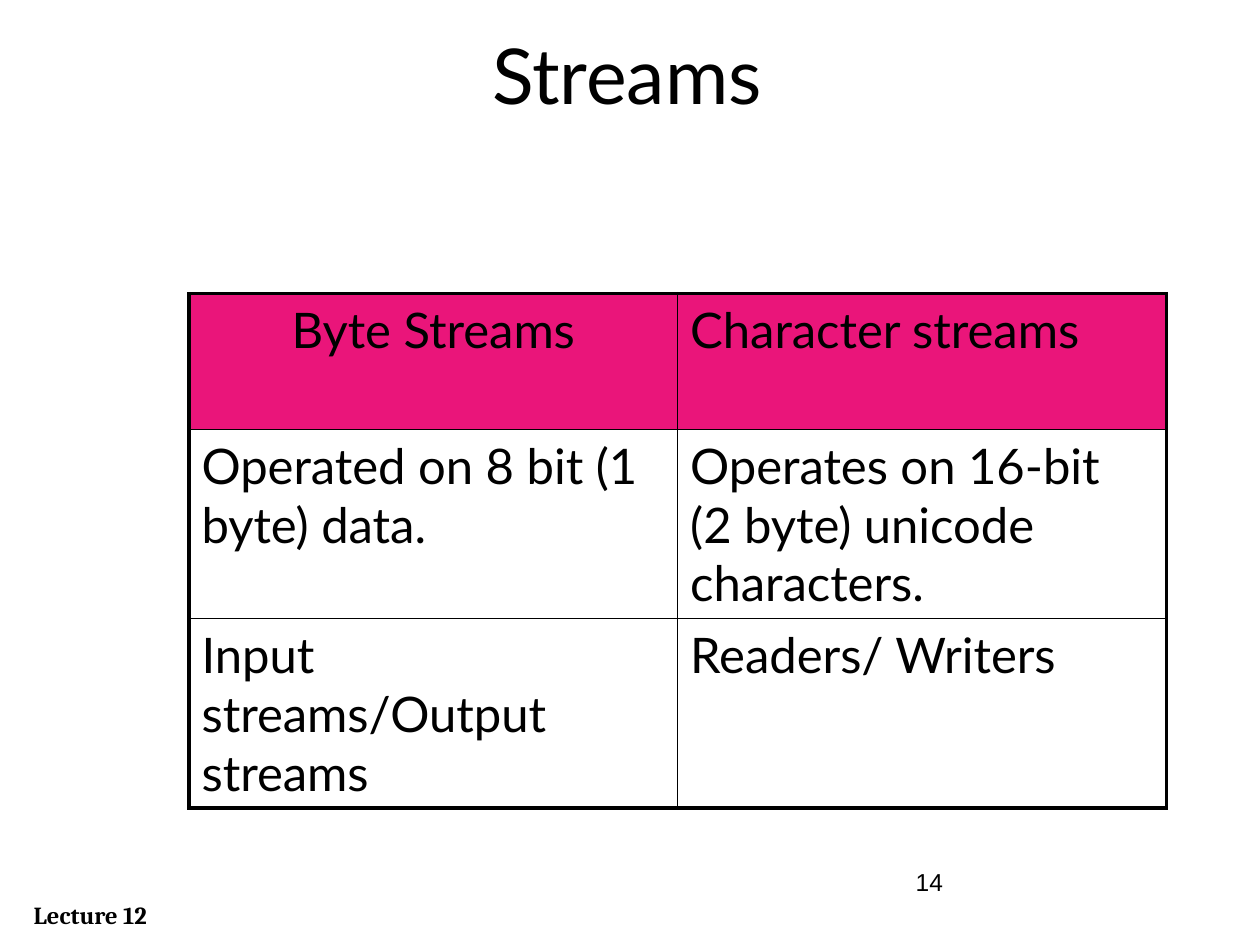
import pptx
import pptx.util
import pptx.dml.color
import pptx.enum.text
import lxml.etree
import pptx.oxml.ns

Cm, Pt = pptx.util.Cm, pptx.util.Pt
CENTER = pptx.enum.text.PP_ALIGN.CENTER


def color(hex_value):
    return pptx.dml.color.RGBColor.from_string(hex_value)


def set_text(tf, text, font, size, bold=False, align=None):
    tf.text = text
    tf.word_wrap = True
    p = tf.paragraphs[0]
    p.alignment = align
    r = p.runs[0]
    r.font.name = font
    r.font.size = Pt(size)
    r.font.bold = bold
    r.font.color.rgb = color("000000")


prs = pptx.Presentation()
prs.slide_width, prs.slide_height = Cm(25.4), Cm(19.05)
s = prs.slides.add_slide(prs.slide_layouts[6])

# Title, lecture label and page number
texts = [
    ("Lecture 12", (0.43, 18.01, 5.08, 0.86), "Cambria", 14, True, None),
    ("Streams", (0.43, 0.43, 24.43, 2.74), "Lato", 44, False, CENTER),
    ("14", (18.21, 17.35, 5.93, 1.32), "Arial", 14, False, None),
]
for text, box, font, size, bold, align in texts:
    sp = s.shapes.add_textbox(*[Cm(v) for v in box])
    set_text(sp.text_frame, text, font, size, bold, align)

# Comparison table
rows = [
    ("Byte Streams", "Character streams"),
    ("Operated on 8 bit (1 byte) data.",
     "Operates on 16-bit (2 byte) unicode characters."),
    ("Input streams/Output streams", "Readers/ Writers"),
]
heights = [2.74, 3.81, 3.81]
table = s.shapes.add_table(3, 2, Cm(3.81), Cm(5.92), Cm(19.7), Cm(sum(heights))).table
for col in table.columns:
    col.width = Cm(9.85)
for i, (row, height) in enumerate(zip(rows, heights)):
    table.rows[i].height = Cm(height)
    for j, text in enumerate(row):
        cell = table.cell(i, j)
        set_text(cell.text_frame, text, "Lato", 28,
                 align=CENTER if i == j == 0 else None)

        # Thick outer frame, thin inner lines
        outer = {"lnL": j == 0, "lnR": j == 1, "lnT": i == 0, "lnB": i == 2}
        tcPr = cell._tc.get_or_add_tcPr()
        for tag, thick in outer.items():
            ln = lxml.etree.SubElement(tcPr, pptx.oxml.ns.qn(f"a:{tag}"),
                                       w=str(Pt(2.25 if thick else 1)))
            fill = lxml.etree.SubElement(ln, pptx.oxml.ns.qn("a:solidFill"))
            lxml.etree.SubElement(fill, pptx.oxml.ns.qn("a:srgbClr"), val="000000")

        if i == 0:
            cell.fill.solid()
            cell.fill.fore_color.rgb = color("EA157A")
        else:
            cell.fill.background()

prs.save("out.pptx")
